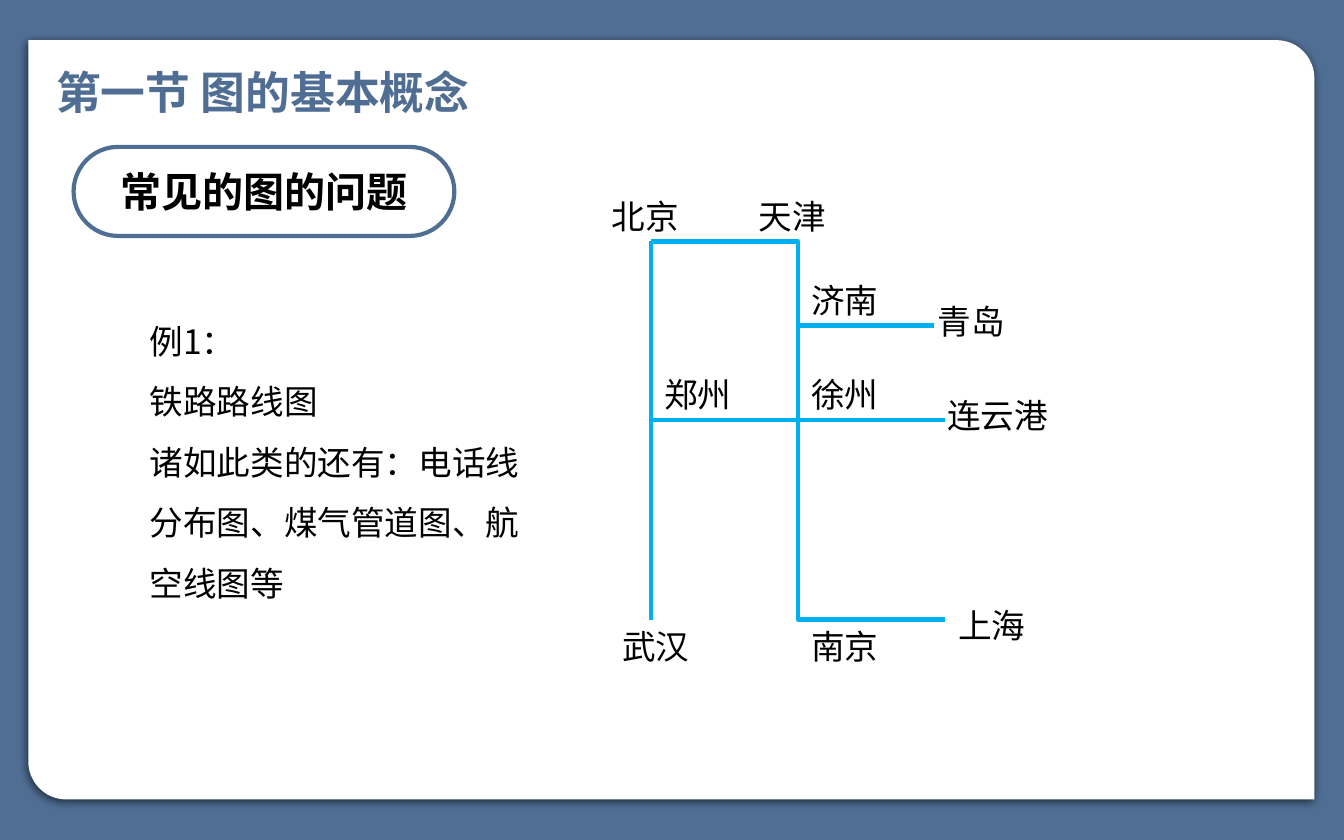
from lxml import etree
from pptx import Presentation
from pptx.dml.color import RGBColor
from pptx.enum.shapes import MSO_CONNECTOR, MSO_SHAPE
from pptx.enum.text import MSO_ANCHOR, MSO_AUTO_SIZE, PP_ALIGN
from pptx.oxml import parse_xml
from pptx.oxml.ns import nsdecls, qn
from pptx.util import Pt

STRAIGHT, ELBOW = MSO_CONNECTOR.STRAIGHT, MSO_CONNECTOR.ELBOW
CARD, PILL = MSO_SHAPE.ROUND_2_DIAG_RECTANGLE, MSO_SHAPE.ROUNDED_RECTANGLE
CENTER, MIDDLE = PP_ALIGN.CENTER, MSO_ANCHOR.MIDDLE
GROW = MSO_AUTO_SIZE.SHAPE_TO_FIT_TEXT

BLUE = RGBColor(0x50, 0x6E, 0x94)
RAIL = RGBColor(0x00, 0xB0, 0xF0)
WHITE = RGBColor(0xFF, 0xFF, 0xFF)
BLACK = RGBColor(0x00, 0x00, 0x00)
HEAD_FONT, BODY_FONT = "DejaVu Sans", "Noto Sans CJK SC"
LINE_WIDTH = Pt(2.25)
SHADOW = (
    f'<a:effectLst {nsdecls("a")}>'
    '<a:outerShdw blurRad="57150" dist="19050" dir="5400000" algn="ctr" rotWithShape="0">'
    '<a:srgbClr val="000000"><a:alpha val="63000"/></a:srgbClr>'
    '</a:outerShdw></a:effectLst>'
)


class SlideBuilder:
    def __init__(self, slide):
        self.slide = slide
        self.shapes = slide.shapes

    def background(self, color):
        fill = self.slide.background.fill
        fill.solid()
        fill.fore_color.rgb = color

    def set_text(self, tf, text, size, color, font, bold=False, spacing=None):
        tf.text = text
        for p in tf.paragraphs:
            if spacing:
                p.line_spacing = spacing
            for r in p.runs:
                r.font.size = Pt(size)
                r.font.bold = bold
                r.font.color.rgb = color
                r.font.name = font
                ea = etree.SubElement(r.font._element, qn("a:ea"))
                ea.set("typeface", BODY_FONT)

    def text(self, text, x, y, w, h, size=18, color=BLACK, font=BODY_FONT, **style):
        tf = self.shapes.add_textbox(Pt(x), Pt(y), Pt(w), Pt(h)).text_frame
        tf.word_wrap = True
        tf.auto_size = GROW
        self.set_text(tf, text, size, color, font, **style)

    def panel(self, kind, x, y, w, h, adjustments, line=None):
        sp = self.shapes.add_shape(kind, Pt(x), Pt(y), Pt(w), Pt(h))
        for i, value in enumerate(adjustments):
            sp.adjustments[i] = value
        sp.fill.solid()
        sp.fill.fore_color.rgb = WHITE
        if line is None:
            sp.line.fill.background()
        else:
            sp.line.color.rgb = line
            sp.line.width = LINE_WIDTH
        sp.shadow.inherit = False
        return sp

    def card(self, x, y, w, h):
        sp = self.panel(CARD, x, y, w, h, (0, 0.05))
        effects = sp._element.spPr.find(qn("a:effectLst"))
        effects.getparent().replace(effects, parse_xml(SHADOW))

    def pill(self, text, x, y, w, h):
        sp = self.panel(PILL, x, y, w, h, (0.5,), BLUE)
        tf = sp.text_frame
        tf.word_wrap = False
        tf.vertical_anchor = MIDDLE
        self.set_text(tf, text, 22, BLACK, HEAD_FONT, bold=True)
        tf.paragraphs[0].alignment = CENTER

    def rail(self, kind, x1, y1, x2, y2):
        line = self.shapes.add_connector(kind, Pt(x1), Pt(y1), Pt(x2), Pt(y2))
        line.line.color.rgb = RAIL
        line.line.width = LINE_WIDTH
        etree.SubElement(line._element.spPr, qn("a:effectLst"))


def main():
    prs = Presentation()
    prs.slide_width, prs.slide_height = Pt(720), Pt(450)
    s = SlideBuilder(prs.slides.add_slide(prs.slide_layouts[6]))

    # Frame and headings
    s.background(BLUE)
    s.card(15.2, 21.5, 689, 406.8)
    s.text("第一节 图的基本概念", 23, 31, 305.3, 36, 24, BLUE, HEAD_FONT, bold=True)
    s.pill("常见的图的问题", 39.4, 78.7, 204, 47.7)

    # Railway network: west line, east line, east coast
    west, east, coast = (348.8 + 78.75 * i for i in range(3))
    north, jinan, middle, south = 129.4, 174.4, 225, 331.9
    s.rail(ELBOW, west, north, coast, middle)
    s.rail(STRAIGHT, west, north, west, south)
    s.rail(ELBOW, west, middle, coast, south)
    s.rail(STRAIGHT, east, jinan, 500.4, jinan)

    # City names
    short, long, height = 56.2, 73.4, 28.8
    above = 28.2
    cities = [
        ("北京", west - 28.1, north - above, short),
        ("天津", east - 28.1, north - above, short),
        ("郑州", west, middle - above, short),
        ("济南", east, jinan - above, short),
        ("青岛", 495.4, 157.5, short),
        ("徐州", east, middle - above, short),
        ("连云港", 500.4, 208.1, long),
        ("南京", east, south, long),
        ("上海", coast, 320.6, long),
        ("武汉", 326.2, south, long),
    ]
    for name, x, y, width in cities:
        s.text(name, x, y, width, height)

    # Example
    example = "例1：\n铁路路线图\n诸如此类的还有：电话线分布图、煤气管道图、航空线图等"
    s.text(example, 73.1, 157.5, 225.4, 170.6, spacing=1.5)

    prs.save("out.pptx")


if __name__ == "__main__":
    main()
